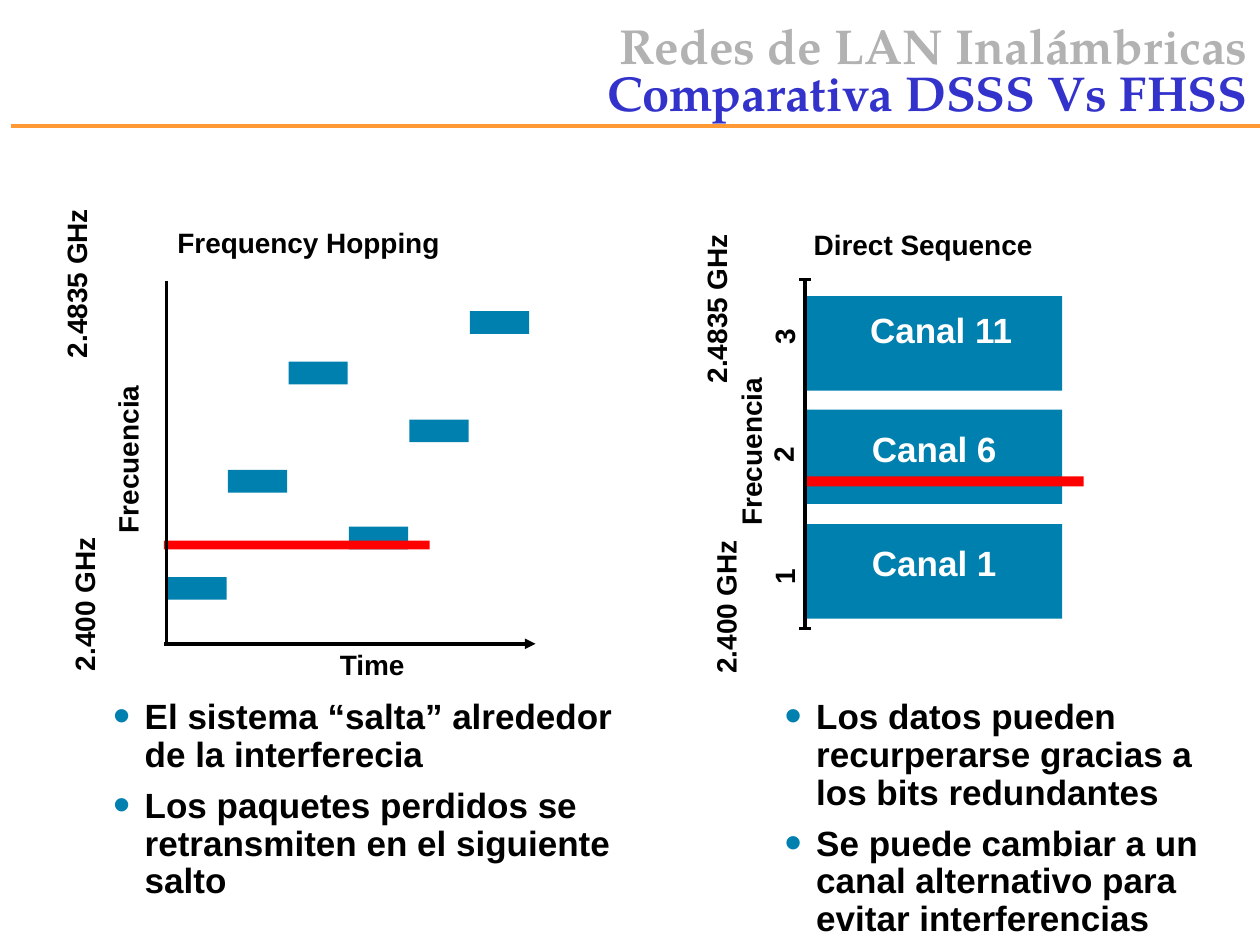
from lxml.etree import SubElement
from pptx import Presentation
from pptx.dml.color import RGBColor
from pptx.enum.shapes import MSO_CONNECTOR, MSO_SHAPE
from pptx.enum.text import MSO_ANCHOR, PP_ALIGN
from pptx.oxml.ns import qn
from pptx.util import Inches, Pt

BLACK = RGBColor(0x00, 0x00, 0x00)
WHITE = RGBColor(0xFF, 0xFF, 0xFF)
GRAY = RGBColor(0xB2, 0xB2, 0xB2)
BLUE = RGBColor(0x33, 0x33, 0xCC)
TEAL = RGBColor(0x00, 0x80, 0xAE)
RED = RGBColor(0xFF, 0x00, 0x00)
ORANGE = RGBColor(0xFF, 0x99, 0x33)

prs = Presentation()
prs.slide_width, prs.slide_height = Inches(10), Inches(7.5)
slide = prs.slides.add_slide(prs.slide_layouts[6])
shapes = slide.shapes


def add_label(text, left, top, width, height=0.37, size=16, color=BLACK,
              align=PP_ALIGN.LEFT, rotation=0, wrap=True):
    box = shapes.add_textbox(Inches(left), Inches(top), Inches(width), Inches(height))
    box.rotation = rotation
    box.text_frame.word_wrap = wrap
    paragraph = box.text_frame.paragraphs[0]
    paragraph.alignment = align
    run = paragraph.add_run()
    run.text = text
    run.font.name, run.font.size, run.font.bold = "Arial", Pt(size), True
    run.font.color.rgb = color


def add_line(x1, y1, x2, y2, color=BLACK):
    line = shapes.add_connector(MSO_CONNECTOR.STRAIGHT, Inches(x1), Inches(y1),
                                Inches(x2), Inches(y2))
    line.line.color.rgb = color
    line.line.width = Pt(2)
    SubElement(line._element.spPr, qn("a:effectLst"))
    return line


# Header rule and two-line title
add_line(0.09, 1, 10, 1, ORANGE)
title = shapes.add_textbox(Inches(2.42), Inches(-0.25), Inches(7.58), Inches(1.67))
title.text_frame.word_wrap = True
title.text_frame.vertical_anchor = MSO_ANCHOR.MIDDLE
heading = title.text_frame.paragraphs[0]
heading.alignment = PP_ALIGN.RIGHT
heading.line_spacing = 0.8
for text, color in (("Redes de LAN Inalámbricas", GRAY), ("Comparativa DSSS Vs FHSS", BLUE)):
    if heading.runs:
        heading.add_line_break()
    run = heading.add_run()
    run.text = text
    run.font.name, run.font.size, run.font.bold = "TeX Gyre Pagella", Pt(28), True
    run.font.color.rgb = color

# Bullet lists under the two diagrams
bullet_lists = (
    (0.67, 4.42, 1.71, ("El sistema “salta” alrededor de la interferecia",
                        "Los paquetes perdidos se retransmiten en el siguiente salto")),
    (6, 3.67, 2.01, ("Los datos pueden recurperarse gracias a los bits redundantes",
                     "Se puede cambiar a un canal alternativo para evitar interferencias")),
)
for left, width, height, items in bullet_lists:
    remarks = shapes.add_textbox(Inches(left), Inches(5.5), Inches(width), Inches(height))
    frame = remarks.text_frame
    frame.word_wrap = True
    for i, item in enumerate(items):
        paragraph = frame.add_paragraph() if i else frame.paragraphs[0]
        props = paragraph._p.get_or_add_pPr()
        props.set("marL", str(Inches(0.38)))
        props.set("indent", str(Inches(-0.25)))
        SubElement(SubElement(props, qn("a:buClr")), qn("a:srgbClr"), val=str(TEAL))
        SubElement(props, qn("a:buSzPct"), val="140000")
        SubElement(props, qn("a:buFont"), typeface="Arial")
        SubElement(props, qn("a:buChar"), char="•")
        paragraph.line_spacing = 0.9
        if i:
            paragraph.space_before = Pt(7.5)
        run = paragraph.add_run()
        run.text = item
        run.font.name, run.font.size, run.font.bold = "Arial", Pt(20), True
        run.font.color.rgb = BLACK

# Channel blocks, hops and red interference bands
channel_tops = (2.35, 3.25, 4.16)
hop_tops = (4.58, 3.73, 2.87, 4.18, 3.33, 2.47)
bars = [(6.39, top, 2.04, 0.75, TEAL) for top in channel_tops]
bars += [(1.33 + 0.48 * i, top, 0.47, 0.18, TEAL) for i, top in enumerate(hop_tops)]
bars += [(6.38, 3.78, 2.22, 0.08, RED), (1.3, 4.29, 2.11, 0.07, RED)]
for left, top, width, height, color in bars:
    bar = shapes.add_shape(MSO_SHAPE.RECTANGLE, Inches(left), Inches(top),
                           Inches(width), Inches(height))
    bar.shadow.inherit = False
    bar.fill.solid()
    bar.fill.fore_color.rgb = color
    bar.line.fill.background()

# Frequency hopping axes
add_line(1.32, 2.23, 1.32, 5.11)
time_axis = add_line(1.3, 5.11, 4.25, 5.11)
SubElement(time_axis.line._get_or_add_ln(), qn("a:tailEnd"), type="triangle")

# Direct sequence axis with end ticks
add_line(6.39, 2.23, 6.39, 4.99)
for y in (2.22, 4.99):
    add_line(6.34, y, 6.44, y)

# Horizontal labels
add_label("Frequency Hopping", 1.31, 1.74, 2.74)
add_label("Direct Sequence", 6.36, 1.76, 2.88)
add_label("Time", 1.42, 5.09, 3.07, align=PP_ALIGN.CENTER)
for text, left, top, width in (("Canal 11", 6.62, 2.4, 1.7), ("Canal 6", 6.82, 3.34, 1.19),
                               ("Canal 1", 6.82, 4.25, 1.19)):
    add_label(text, left, top, width, 0.43, 20, WHITE, PP_ALIGN.CENTER)

# Labels turned along the frequency axes
for left, top, width in ((-0.51, 3.46, 3.05), (4.5, 3.4, 2.92)):
    add_label("Frecuencia", left, top, width, align=PP_ALIGN.CENTER, rotation=270)
for text, left, top, width in (
    ("2.400 GHz", 0.04, 4.61, 1.26), ("2.4835 GHz", -0.09, 2.06, 1.39),
    ("2.400 GHz", 5.13, 4.63, 1.26), ("2.4835 GHz", 4.99, 2.26, 1.39),
    ("1", 6.06, 4.39, 0.33), ("2", 6.05, 3.42, 0.33), ("3", 6.06, 2.48, 0.33),
):
    add_label(text, left, top, width, rotation=270, wrap=False)

prs.save("out.pptx")
